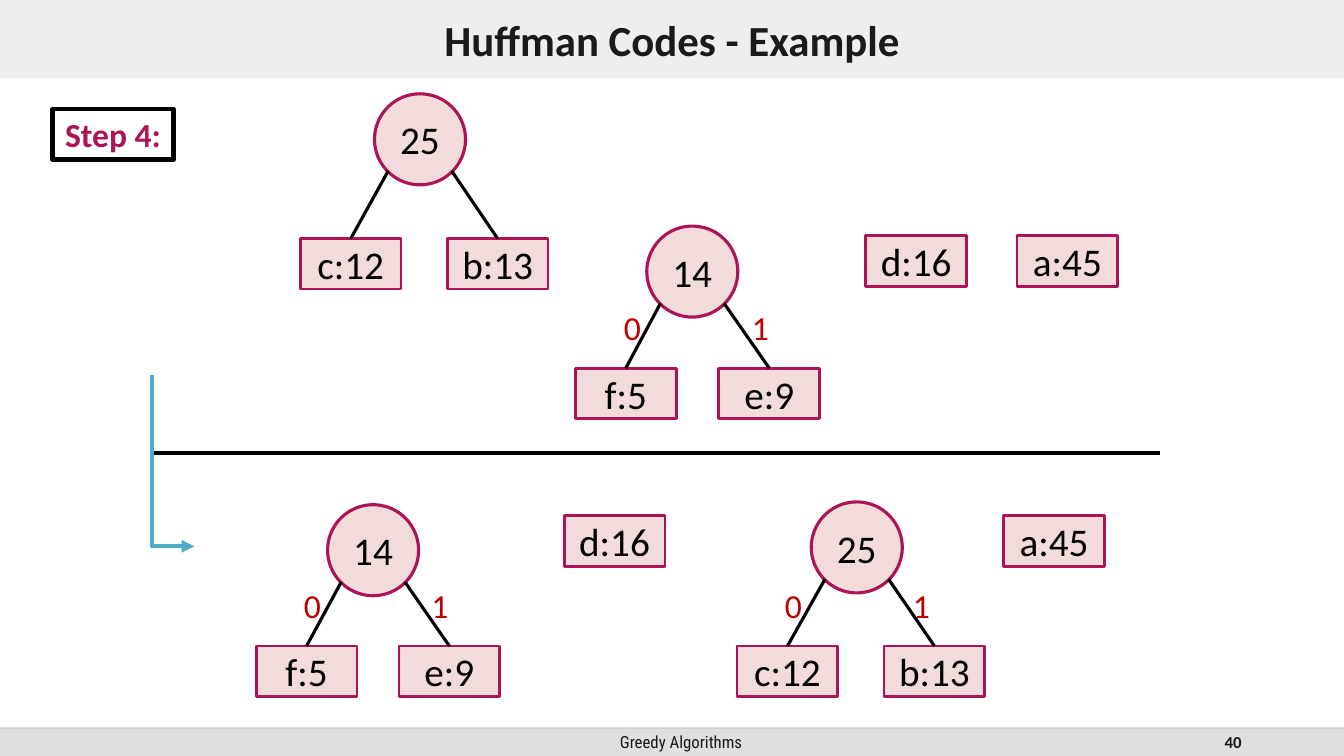
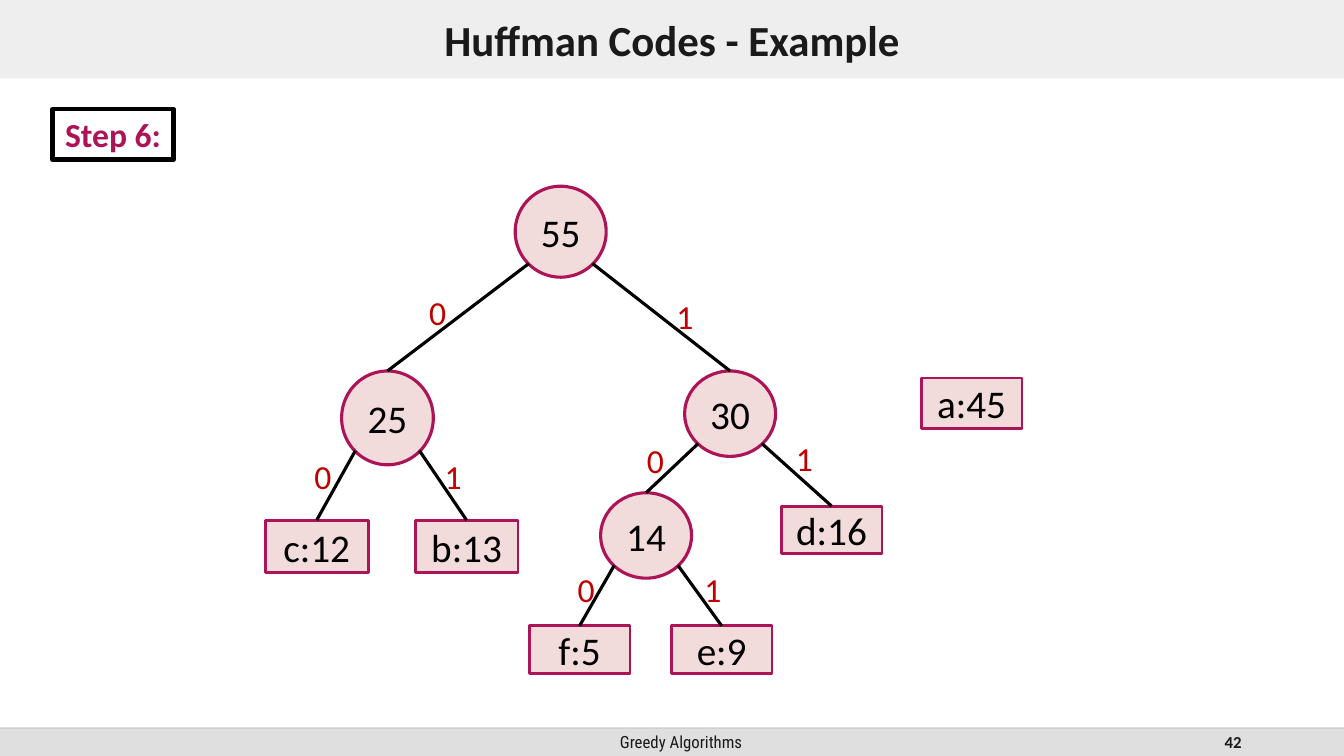
"""Build two slides of a worked Huffman coding example."""
from dataclasses import dataclass

from lxml.etree import SubElement
from pptx import Presentation
from pptx.dml.color import RGBColor
from pptx.enum.shapes import MSO_CONNECTOR, MSO_SHAPE
from pptx.enum.text import MSO_ANCHOR, MSO_AUTO_SIZE, PP_ALIGN
from pptx.oxml.ns import qn
from pptx.util import Pt


@dataclass(frozen=True)
class Theme:
    ink = RGBColor.from_string("1A1A1A")
    black = RGBColor.from_string("000000")
    band = RGBColor.from_string("DFDFDF")
    rule = RGBColor.from_string("BFBFBF")
    accent = RGBColor.from_string("AD1457")
    node = RGBColor.from_string("F2DCDB")
    bit = RGBColor.from_string("C00000")
    arrow = RGBColor.from_string("4BACC6")
    title_font = {"name": "Calibri", "size": Pt(30.6), "bold": True}
    step_font = {"name": "Calibri", "size": Pt(24), "bold": True}
    node_font = {"name": "Calibri", "size": Pt(28), "bold": False}
    bit_font = {"name": "Calibri", "size": Pt(24), "bold": False}
    footer_font = {"name": "Roboto Condensed", "size": Pt(12), "bold": False}
    number_font = {"name": "Calibri", "size": Pt(12), "bold": True}


theme = Theme()
circle = (65, 65)
box_size = (72, 36)
wide_box = (73.5, 37.5)
low_box = (72, 34)
low_circle = (65, 61)

before_merge = {
    "nodes": {
        "25": (267.5, 67, *circle),
        "c:12": (214.5, 170.5, *box_size),
        "b:13": (319.5, 170.5, *box_size),
        "14": (462, 161.5, *circle),
        "f:5": (411, 263, *box_size),
        "e:9": (513.5, 263, *box_size),
        "d:16": (618.5, 168.5, *box_size),
        "a:45": (726.5, 168.5, *box_size),
    },
    "edges": [("25", "c:12", None), ("25", "b:13", None),
              ("14", "f:5", (438.5, 215.5)), ("14", "e:9", (530, 215.5))],
}
after_merge = {
    "nodes": {
        "14": (234, 360.5, *circle),
        "f:5": (183, 461.5, *box_size),
        "e:9": (285, 461.5, *box_size),
        "d:16": (403, 368.5, *box_size),
        "25": (579.5, 358.5, *circle),
        "c:12": (526.5, 461.5, *box_size),
        "b:13": (631.5, 461.5, *box_size),
        "a:45": (717, 368.5, *box_size),
    },
    "edges": [("14", "f:5", (210, 414.5)), ("14", "e:9", (301, 414.5)),
              ("25", "c:12", (553.5, 414)), ("25", "b:13", (645, 414))],
}
step_six = {
    "nodes": {
        "55": (368, 133, *circle),
        "25": (244, 265, 65.5, 67),
        "c:12": (189.5, 371.5, *wide_box),
        "b:13": (296.5, 371.5, *wide_box),
        "30": (489, 265, *low_circle),
        "14": (429, 352, *low_circle),
        "d:16": (558, 361.5, *low_box),
        "f:5": (378, 447, *low_box),
        "e:9": (479.5, 447, *low_box),
        "a:45": (658, 270, *box_size),
    },
    "edges": [("55", "25", (299.5, 205)), ("55", "30", (476, 207.5)),
              ("25", "c:12", (217.5, 322)), ("25", "b:13", (310.5, 322)),
              ("30", "14", (455, 310.5)), ("30", "d:16", (561.5, 309)),
              ("14", "f:5", (405.5, 402.5)), ("14", "e:9", (496, 402.5))],
}
pages = [
    {"step": "Step 4:", "number": "40", "forests": [before_merge, after_merge]},
    {"step": "Step 6:", "number": "42", "forests": [step_six]},
]


def write(shape, text, font, color, align=PP_ALIGN.CENTER, anchor=MSO_ANCHOR.MIDDLE):
    frame = shape.text_frame
    frame_format = {"word_wrap": True, "auto_size": MSO_AUTO_SIZE.NONE, "vertical_anchor": anchor}
    for name, value in frame_format.items():
        setattr(frame, name, value)
    para = frame.paragraphs[0]
    para.alignment = align
    span = para.add_run()
    span.text = text
    for name, value in font.items():
        setattr(span.font, name, value)
    span.font.color.rgb = color


def draw_line(page, kind, points, color, width):
    line = page.shapes.add_connector(kind, *map(Pt, points))
    line.line.color.rgb = color
    line.line.width = Pt(width)
    SubElement(line._element.spPr, qn("a:effectLst"))
    return line


deck = Presentation()
deck.slide_width, deck.slide_height = Pt(960), Pt(540)

for content in pages:
    page = deck.slides.add_slide(deck.slide_layouts[5])

    title = page.shapes.title
    title_place = {"left": 0, "top": 0, "width": Pt(960), "height": Pt(56)}
    for name, value in title_place.items():
        setattr(title, name, value)
    title.fill.solid()
    title.fill.fore_color.rgb = theme.band
    write(title, "Huffman Codes - Example", theme.title_font, theme.ink)

    footer = page.shapes.add_shape(MSO_SHAPE.RECTANGLE, 0, Pt(520), Pt(960), Pt(20))
    footer.shadow.inherit = False
    footer.fill.solid()
    footer.fill.fore_color.rgb = theme.band
    footer.line.fill.background()
    footer_texts = [
        ("Greedy Algorithms", 318, 337, theme.footer_font, PP_ALIGN.CENTER),
        (content["number"], 678, 216, theme.number_font, PP_ALIGN.RIGHT),
    ]
    for text, left, width, font, align in footer_texts:
        box = page.shapes.add_textbox(Pt(left), Pt(520), Pt(width), Pt(20))
        write(box, text, font, theme.ink, align)
    rule = draw_line(page, MSO_CONNECTOR.STRAIGHT, (0, 520, 960, 520), theme.rule, 1)
    for shape, opacity in ((title, 50), (rule, 70)):
        color = shape._element.spPr.find(".//" + qn("a:srgbClr"))
        SubElement(color, qn("a:alpha"), val=str(opacity * 1000))

    step = page.shapes.add_shape(MSO_SHAPE.RECTANGLE, Pt(37.5), Pt(78), Pt(86.5), Pt(36))
    step.shadow.inherit = False
    step.fill.background()
    step.line.color.rgb = theme.black
    step.line.width = Pt(3)
    write(step, content["step"], theme.step_font, theme.accent)

    for forest in content["forests"]:
        nodes = {}
        for label, place in forest["nodes"].items():
            is_leaf = ":" in label
            outline = MSO_SHAPE.RECTANGLE if is_leaf else MSO_SHAPE.OVAL
            node = page.shapes.add_shape(outline, *map(Pt, place))
            node.shadow.inherit = False
            node.fill.solid()
            node.fill.fore_color.rgb = theme.node
            node.line.color.rgb = theme.accent
            node.line.width = Pt(2 if is_leaf else 2.25)
            write(node, label, theme.node_font, theme.black)
            nodes[label] = node

        for index, (parent, child, bit_place) in enumerate(forest["edges"]):
            bit = index % 2
            left, top, width, height = forest["nodes"][parent]
            child_left, child_top, child_width, _ = forest["nodes"][child]
            start = (left + width * (0.85 if bit else 0.15), top + height * 0.85)
            end = (child_left + child_width / 2, child_top)
            edge = draw_line(page, MSO_CONNECTOR.STRAIGHT, start + end, theme.black, 2.25)
            SubElement(edge._element.nvCxnSpPr.cNvCxnSpPr, qn("a:stCxn"),
                       id=str(nodes[parent].shape_id), idx="5" if bit else "3")
            edge.end_connect(nodes[child], 0)
            if bit_place:
                box = page.shapes.add_textbox(*map(Pt, bit_place), Pt(29), Pt(36))
                write(box, str(bit), theme.bit_font, theme.bit, PP_ALIGN.LEFT, MSO_ANCHOR.TOP)

    if len(content["forests"]) > 1:
        draw_line(page, MSO_CONNECTOR.STRAIGHT, (108.5, 323.5, 828.5, 323.5), theme.black, 3)
        arrow = draw_line(page, MSO_CONNECTOR.ELBOW, (185, 314, 62.5, 344), theme.arrow, 3)
        properties = arrow._element.spPr
        properties.find(qn("a:xfrm")).set("rot", str(270 * 60000))
        adjustments = properties.find(".//" + qn("a:avLst"))
        SubElement(adjustments, qn("a:gd"), name="adj1", fmla="val 100000")
        SubElement(properties.find(qn("a:ln")), qn("a:tailEnd"), type="triangle")

deck.save("out.pptx")
